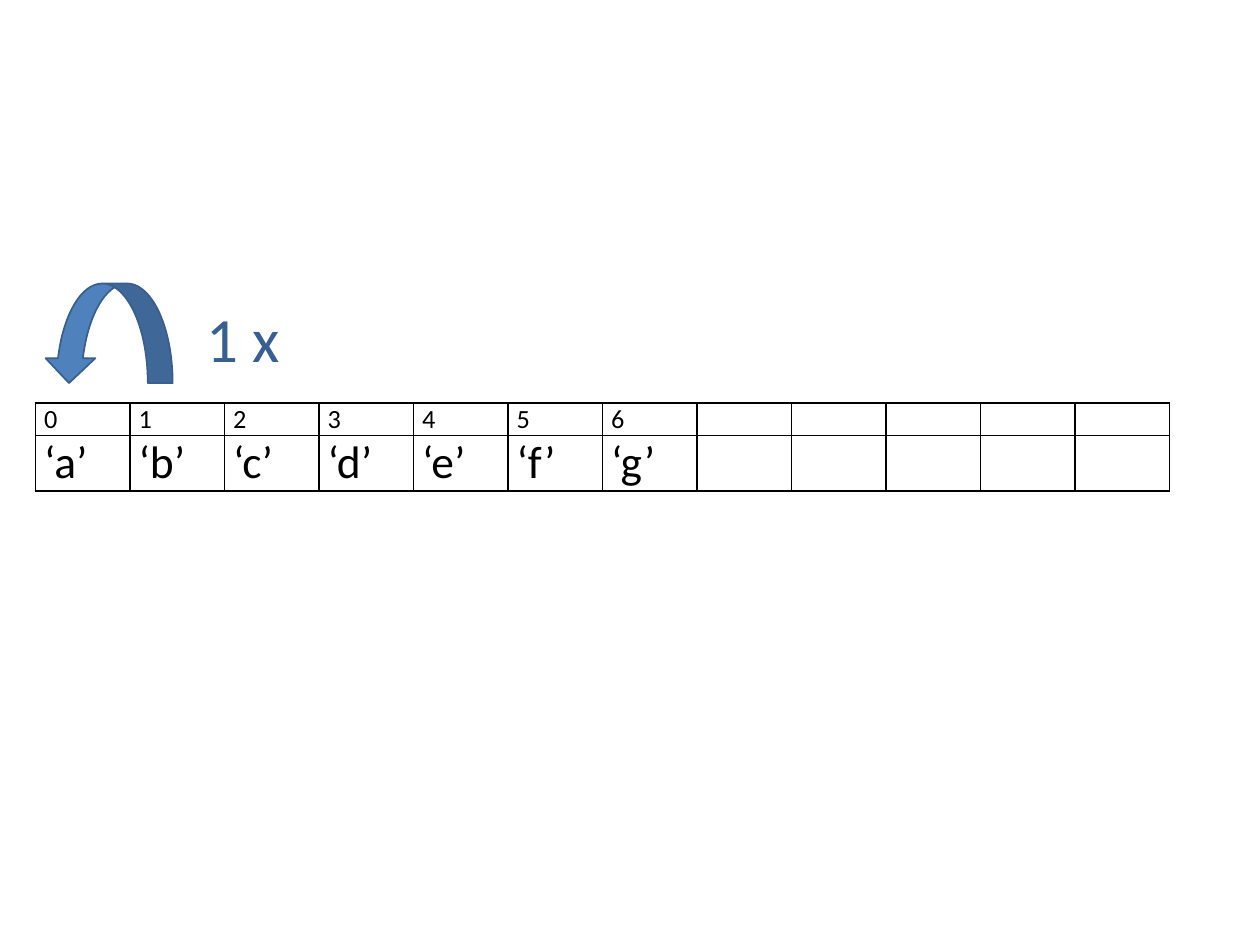
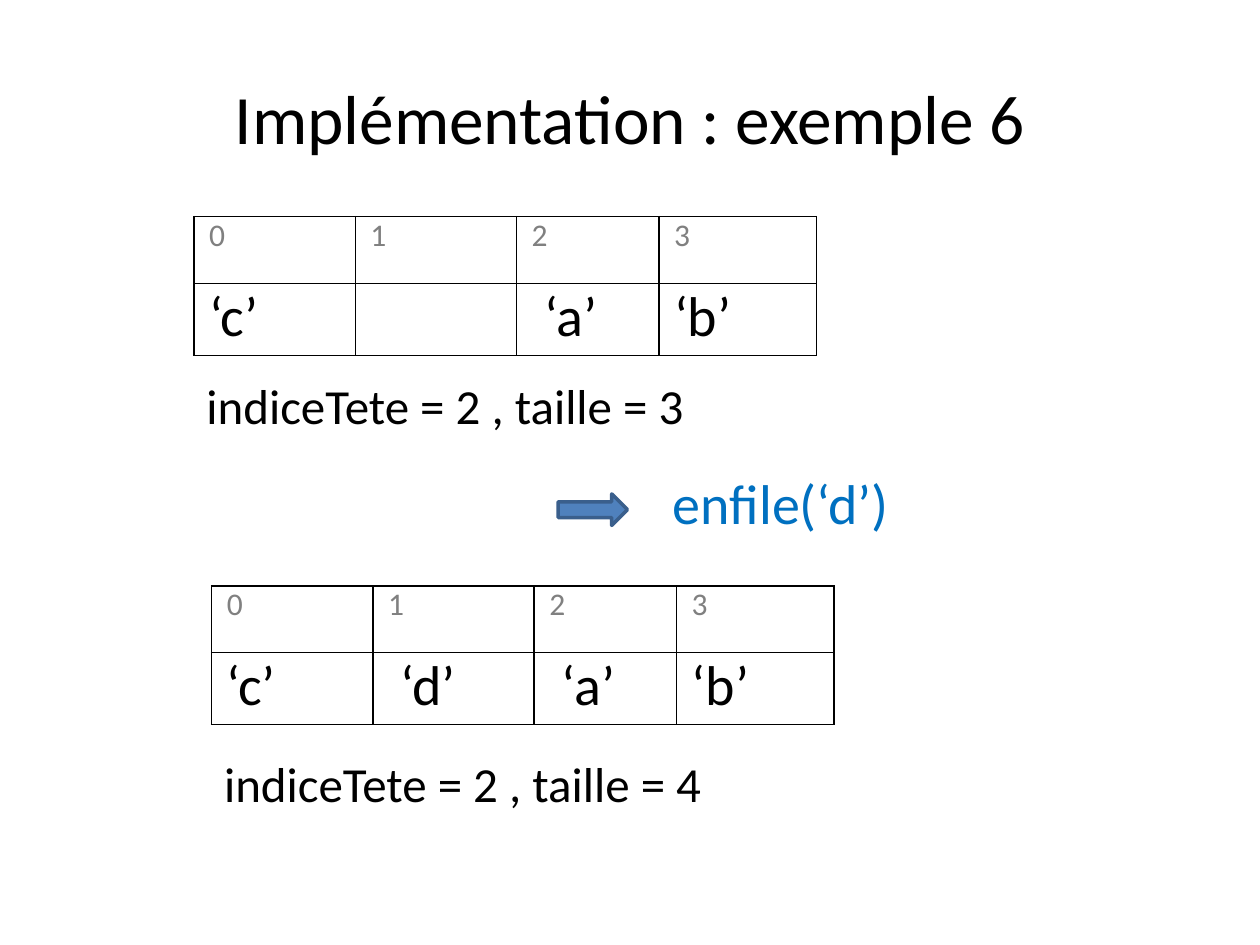
from lxml import etree
from pptx import Presentation
from pptx import util as u
from pptx.dml.color import RGBColor
from pptx.enum import shapes, text
from pptx.oxml import ns

PX = 9144  # one px is a hundredth of an inch
FONT = "Calibri"
HEX = {"ink": "000000", "index": "808080", "fill": "4F81BD",
       "edge": "3A5F8C", "step": "376092", "call": "0070C0"}


def px(*vals):
    return [u.Emu(v * PX) for v in vals]


def tint(name):
    return RGBColor.from_string(HEX[name])


def style(para, size, color):
    for run in para.runs:
        run.font.name = FONT
        run.font.size = u.Pt(size)
        run.font.color.rgb = tint(color)


def label(slide, box, words, size, color, wrap=False):
    frame = slide.shapes.add_textbox(*px(*box)).text_frame
    frame.text = words
    frame.word_wrap = wrap
    frame.auto_size = text.MSO_AUTO_SIZE.SHAPE_TO_FIT_TEXT
    style(frame.paragraphs[0], size, color)


def arrow(slide, kind, box, line, turn=0):
    shape = slide.shapes.add_shape(kind, *px(*box))
    shape.rotation = turn
    shape.shadow.inherit = False
    shape.fill.solid()
    shape.fill.fore_color.rgb = tint("fill")
    shape.line.color.rgb = tint("edge")
    shape.line.width = u.Pt(line)


def border(cell):
    props = cell._tc.get_or_add_tcPr()
    for spot, side in enumerate(("lnL", "lnR", "lnT", "lnB")):
        line = etree.Element(ns.qn("a:" + side), w=str(u.Pt(1)))
        fill = etree.SubElement(line, ns.qn("a:solidFill"))
        etree.SubElement(fill, ns.qn("a:srgbClr"), val=HEX["ink"])
        props.insert(spot, line)


def array(slide, left, top, cols, rows, cells, looks, pad):
    """Draw a queue array: a row of indices above a row of values."""
    box = px(left, top, sum(cols), sum(rows))
    table = slide.shapes.add_table(len(rows), len(cols), *box).table
    table.first_row = table.horz_banding = False
    for col, width in zip(table.columns, px(*cols)):
        col.width = width
    for r, (row, high) in enumerate(zip(table.rows, px(*rows))):
        row.height = high
        size, color = looks[r]
        for cell, words in zip(row.cells, cells[r]):
            cell.margin_left = cell.margin_right = px(pad)[0]
            cell.margin_top = cell.margin_bottom = 0
            cell.fill.background()
            border(cell)
            para = cell.text_frame.paragraphs[0]
            if words:
                para.text = words
                style(para, size, color)
            else:  # keeps an empty cell from stretching its row
                etree.SubElement(para._p, ns.qn("a:endParaRPr"),
                                 sz=str(size * 100))


def shift(deck):
    """Slide with the array moved one place to the left."""
    slide = deck.slides.add_slide(deck.slide_layouts[6])
    count, used = 12, "abcdefg"
    free = [""] * (count - len(used))
    cells = [[str(i) for i in range(len(used))] + free,
             [f"‘{c}’" for c in used] + free]
    array(slide, 28, 320, [75] * count, [25, 43], cells,
          [(15, "ink"), (26, "ink")], 7)
    arrow(slide, shapes.MSO_SHAPE.CURVED_UP_ARROW,
          (35, 225, 102, 79), 1, 180)
    label(slide, (154, 233, 79, 71), "1 x", 36, "step")


def state(slide, left, top, vals, size, gap):
    """Array of four places with its head and size below."""
    cols, rows = [128, 128, 113, 125], [53, 57]
    array(slide, left, top, cols, rows, ["0123", vals],
          [(18, "index"), (32, "ink")], 12)
    label(slide, (left, top + sum(rows) + gap, 412, 57),
          f"indiceTete = 2 , taille = {size}", 28, "ink")


def queue(deck):
    """Slide with the queue before and after a call."""
    slide = deck.slides.add_slide(deck.slide_layouts[5])
    title = slide.shapes.title
    title.left, title.top, title.width, title.height = px(50, 30, 900, 125)
    frame = title.text_frame
    frame.text = "Implémentation : exemple 6"
    frame.vertical_anchor = text.MSO_ANCHOR.MIDDLE
    frame.paragraphs[0].alignment = text.PP_ALIGN.CENTER
    style(frame.paragraphs[0], 39.6, "ink")

    # Before and after
    state(slide, 154, 172, ["‘c’", "", " ‘a’", "‘b’"], 3, 11)
    state(slide, 168, 465, ["‘c’", " ‘d’", " ‘a’", "‘b’"], 4, 18)

    # The call between them
    arrow(slide, shapes.MSO_SHAPE.RIGHT_ARROW, (443, 392, 55, 25), 2)
    label(slide, (524, 367, 197, 64), "enfile(‘d’)", 32, "call", True)


def main():
    deck = Presentation()
    deck.slide_width, deck.slide_height = px(1000, 750)
    shift(deck)
    queue(deck)
    deck.save("out.pptx")


if __name__ == "__main__":
    main()
